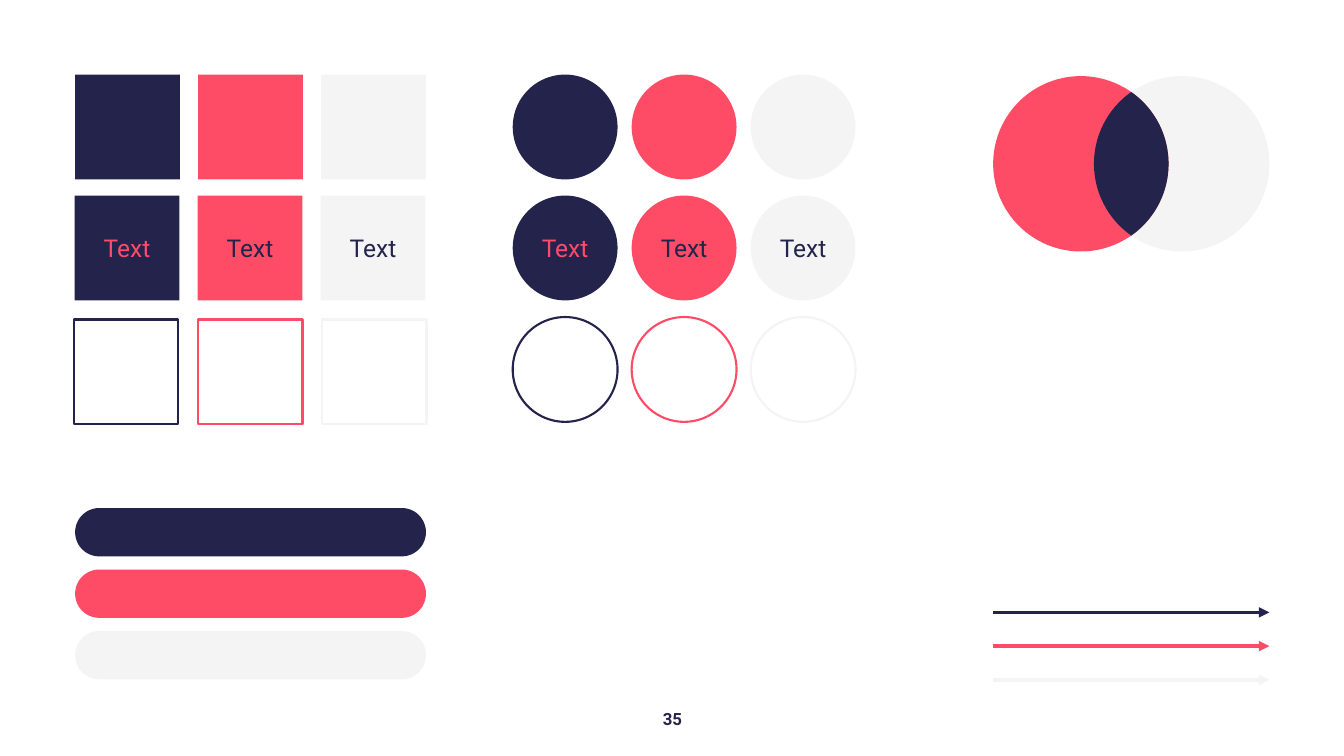
from math import acos, cos, pi, sin

from lxml.etree import SubElement
from pptx import Presentation
from pptx.dml.color import RGBColor
from pptx.enum.shapes import MSO_CONNECTOR, MSO_SHAPE as SHAPE
from pptx.enum.text import MSO_ANCHOR, PP_ALIGN
from pptx.oxml.ns import qn
from pptx.util import Inches, Pt

NAVY, CORAL, PALE = "23234C", "FE4C66", "F3F4F3"
COLORS = [NAVY, CORAL, PALE]
LABEL_COLORS = [CORAL, NAVY, NAVY]
FONT = "Roboto"
PAGE = "35"

# Rows of tiles: shape, left, top, column pitch, style
TILE = 2.08
TILE_ROWS = [
    (SHAPE.RECTANGLE, 1.49, 1.48, 2.44, "plain"),
    (SHAPE.RECTANGLE, 1.48, 3.88, 2.44, "label"),
    (SHAPE.RECTANGLE, 1.46, 6.34, 2.46, "outline"),
    (SHAPE.OVAL, 10.17, 1.48, 2.36, "plain"),
    (SHAPE.OVAL, 10.17, 3.88, 2.36, "label"),
    (SHAPE.OVAL, 10.17, 6.29, 2.36, "outline"),
]
BAR = dict(left=1.49, top=10.08, width=6.96, height=0.96, pitch=1.22)
ARROW = dict(left=19.7, right=25.18, top=12.15, pitch=0.67)
VENN = dict(left=19.7, top=1.51, size=3.48, shift=2)


def rgb(color):
    return RGBColor.from_string(color)


def paint(shape, fill=None, line=None):
    shape.shadow.inherit = False
    if fill:
        shape.fill.solid()
        shape.fill.fore_color.rgb = rgb(fill)
    else:
        shape.fill.background()
    if line:
        shape.line.color.rgb = rgb(line)
        shape.line.width = Pt(3)
    else:
        shape.line.fill.background()


def add_shape(kind, left, top, width, height, **style):
    sp = s.shapes.add_shape(kind, *map(Inches, (left, top, width, height)))
    paint(sp, **style)
    return sp


def write(sp, text, color, size, bold=False):
    tf = sp.text_frame
    tf.word_wrap = True
    tf.vertical_anchor = MSO_ANCHOR.MIDDLE
    p = tf.paragraphs[0]
    p.alignment = PP_ALIGN.CENTER
    r = p.add_run()
    r.text = text
    for name, value in dict(name=FONT, size=Pt(size), bold=bold).items():
        setattr(r.font, name, value)
    r.font.color.rgb = rgb(color)


def add_arrow(y, color):
    ends = (ARROW["left"], y, ARROW["right"], y)
    line = s.shapes.add_connector(MSO_CONNECTOR.STRAIGHT, *map(Inches, ends))
    line.line.color.rgb = rgb(color)
    line.line.width = Pt(5)
    SubElement(line.line._get_or_add_ln(), qn("a:tailEnd"), type="triangle")
    SubElement(line._element.spPr, qn("a:effectLst"))


def add_venn():
    left, top, size, shift = VENN.values()
    for x, color in ((left + shift, PALE), (left, CORAL)):
        add_shape(SHAPE.OVAL, x, top, size, size, fill=color)
    # The overlap is bounded by one arc of each circle
    radius = size / 2
    half = acos(shift / size)
    steps = 60
    points = []
    for center, start in ((left + radius, 0), (left + shift + radius, pi)):
        for i in range(steps + 1):
            angle = start - half + 2 * half * i / steps
            points.append((Inches(center + radius * cos(angle)),
                           Inches(top + radius + radius * sin(angle))))
    lens = s.shapes.build_freeform(*points[0])
    lens.add_line_segments(points[1:], close=True)
    paint(lens.convert_to_shape(), fill=NAVY)


prs = Presentation()
prs.slide_width, prs.slide_height = Inches(26.66), Inches(15)
s = prs.slides.add_slide(prs.slide_layouts[6])

# Page number
box = s.shapes.add_textbox(*map(Inches, (1.49, 13.52, 23.7, 1.48)))
write(box, PAGE, NAVY, 24, bold=True)

# Squares and circles
for kind, left, top, pitch, style in TILE_ROWS:
    for i, color in enumerate(COLORS):
        look = {"line" if style == "outline" else "fill": color}
        tile = add_shape(kind, left + i * pitch, top, TILE, TILE, **look)
        if style == "label":
            write(tile, "Text", LABEL_COLORS[i], 35)

# Rounded bars and arrows
for i, color in enumerate(COLORS):
    bar = add_shape(SHAPE.ROUNDED_RECTANGLE, BAR["left"],
                    BAR["top"] + i * BAR["pitch"],
                    BAR["width"], BAR["height"], fill=color)
    bar.adjustments[0] = 0.5
    add_arrow(ARROW["top"] + i * ARROW["pitch"], color)

# Overlapping circles
add_venn()

prs.save("out.pptx")
